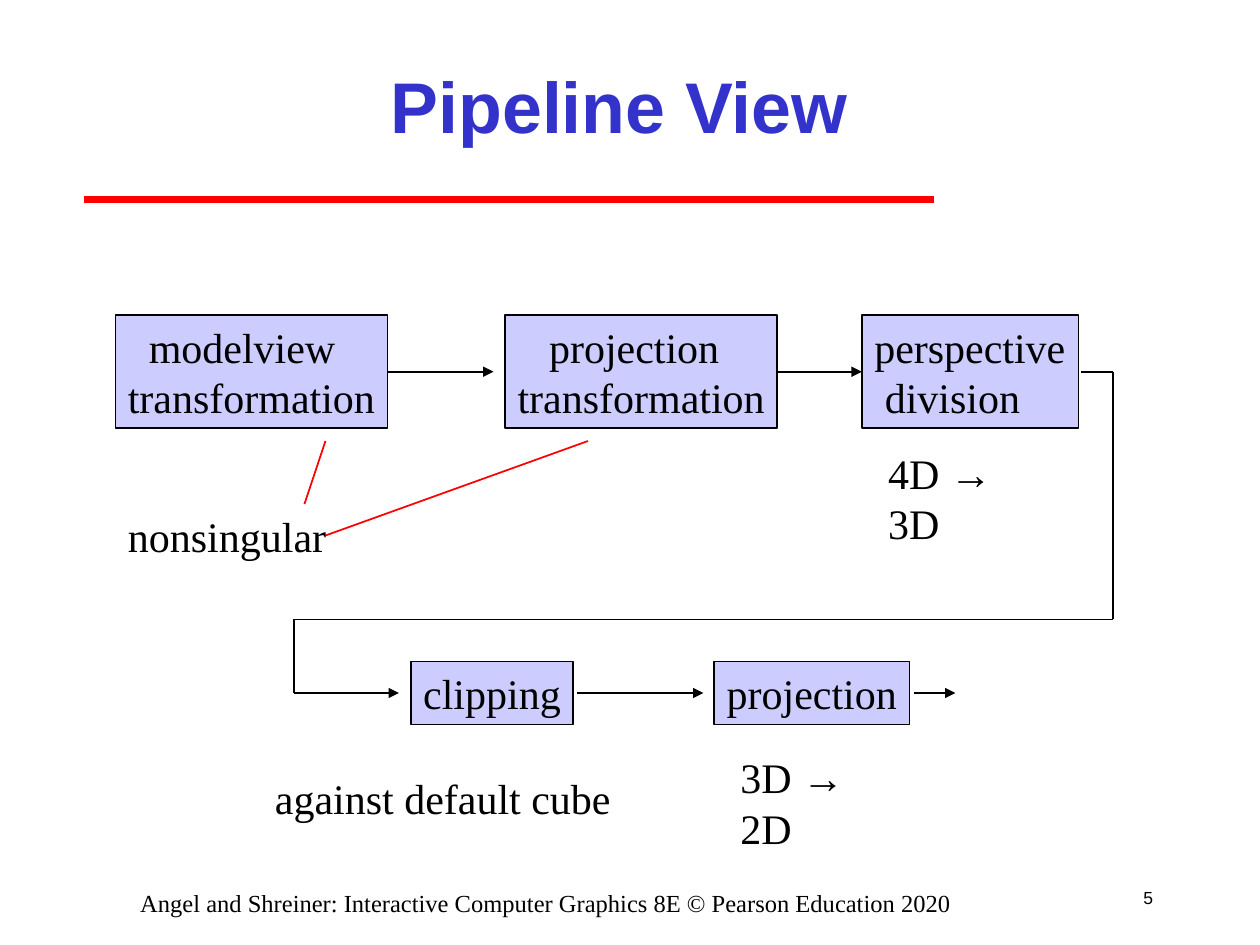
from lxml.etree import SubElement
from pptx import Presentation
from pptx.dml.color import RGBColor
from pptx.enum.shapes import MSO_CONNECTOR as LINE, MSO_SHAPE as SHAPE
from pptx.enum.text import MSO_ANCHOR as ANCHOR, MSO_AUTO_SIZE as AUTO, PP_ALIGN as ALIGN
from pptx.oxml.ns import qn
from pptx.util import Pt

SERIF, SANS = "Times New Roman", "Arial"
BLACK, RED, BLUE, LILAC = "000000", "FF0000", "3333CC", "CCCCFF"
TOP, HIGH = 180, 64.8      # first row of boxes
LOW, SHORT = 378, 36       # second row of boxes
MID, BASE = TOP + HIGH / 2, LOW + SHORT / 2

# name: (left, top, width, height, [(line, indent)])
BOXES = {
    "model": (66, TOP, 155.5, HIGH, [("modelview", 12), ("transformation", 0)]),
    "project": (288.7, TOP, 155.5, HIGH, [("projection", 18), ("transformation", 0)]),
    "divide": (492.5, TOP, 123.8, HIGH, [("perspective", 0), ("division", 6)]),
    "clip": (234.7, LOW, 92.9, SHORT, [("clipping", 0)]),
    "flatten": (408.2, LOW, 111.6, SHORT, [("projection", 0)]),
}
# left, top, width, height, text, wrap
NOTES = [
    (66, 288, 127.4, 36, "nonsingular", False),
    (500.4, 252, 104.4, 36, "4D → 3D", True),
    (150, 438, 206, 36, "against default cube", False),
    (416, 426, 104.4, 36, "3D → 2D", True),
]
ROUTE = [(618, MID), (636, MID), (636, 354), (168, 354), (168, BASE), (228, BASE)]
ARROWS = [((330, BASE), (402, BASE)), ((522, BASE), (546, BASE))]
MARKS = [((336, 252), (186, 306)), ((186, 252), (174, 288))]
FOOTER = "Angel and Shreiner: Interactive Computer Graphics 8E © Pearson Education 2020"


def color(code):
    return RGBColor.from_string(code)


def style(font, size, face=SERIF, code=BLACK, bold=False):
    font.size, font.name, font.bold = Pt(size), face, bold
    font.color.rgb = color(code)


def write(frame, lines, size, face=SERIF, align=ALIGN.LEFT, wrap=False):
    """Fill a frame with (text, indent) lines; arrows are set in the sans font."""
    frame.word_wrap, frame.auto_size = wrap, AUTO.NONE
    frame.vertical_anchor = ANCHOR.TOP
    for i, (text, indent) in enumerate(lines):
        para = frame.add_paragraph() if i else frame.paragraphs[0]
        para.alignment = align
        if indent:
            para._p.get_or_add_pPr().set("marL", str(Pt(indent)))
        head, sign, rest = text.partition("→")
        for part in filter(None, (head, sign, rest)):
            run = para.add_run()
            run.text = part
            style(run.font, size, SANS if part == "→" else face)


def box(left, top, width, height, lines):
    shape = shapes.add_shape(SHAPE.RECTANGLE, Pt(left), Pt(top), Pt(width), Pt(height))
    shape.shadow.inherit = False
    shape.fill.solid()
    shape.fill.fore_color.rgb = color(LILAC)
    shape.line.color.rgb = color(BLACK)
    shape.line.width = Pt(1)
    write(shape.text_frame, lines, 24)
    return shape


def label(left, top, width, height, text, wrap, size=24, **look):
    frame = shapes.add_textbox(Pt(left), Pt(top), Pt(width), Pt(height)).text_frame
    write(frame, [(text, 0)], size, wrap=wrap, **look)
    return frame


def link(start, end, code=BLACK, width=1, arrow=False):
    line = shapes.add_connector(LINE.STRAIGHT, *map(Pt, start + end))
    line.line.color.rgb = color(code)
    line.line.width = Pt(width)
    if arrow:
        SubElement(line.line._get_or_add_ln(), qn("a:tailEnd"), type="triangle")
    SubElement(line._element.spPr, qn("a:effectLst"))
    return line


deck = Presentation()
deck.slide_width, deck.slide_height = Pt(720), Pt(540)
slide = deck.slides.add_slide(deck.slide_layouts[5])
shapes = slide.shapes

title = shapes.title
title.left, title.top, title.width, title.height = map(Pt, (108, 18, 492, 84))
frame = title.text_frame
frame.text = "Pipeline View"
frame.auto_size, frame.vertical_anchor = AUTO.NONE, ANCHOR.MIDDLE
frame.paragraphs[0].alignment = ALIGN.CENTER
style(frame.paragraphs[0].runs[0].font, 41, SANS, BLUE, True)
link((48, 114), (534, 114), RED, 4)

boxes = {name: box(*spec) for name, spec in BOXES.items()}
first = link((221.5, MID), (282, MID), arrow=True)
first.begin_connect(boxes["model"], 3)
second = link((444.2, MID), (492.5, MID), arrow=True)
second.begin_connect(boxes["project"], 3)
second.end_connect(boxes["divide"], 1)
for start, end in zip(ROUTE, ROUTE[1:]):
    link(start, end, arrow=end == ROUTE[-1])
for start, end in ARROWS:
    link(start, end, arrow=True)
for start, end in MARKS:
    link(start, end, RED)

for note in NOTES:
    label(*note)
label(36, 504, 552, 18, FOOTER, True, 14, align=ALIGN.CENTER)
number = label(636, 498, 30, 30, "5", True, 10, face=SANS, align=ALIGN.RIGHT)
number.vertical_anchor = ANCHOR.MIDDLE

deck.save("out.pptx")
